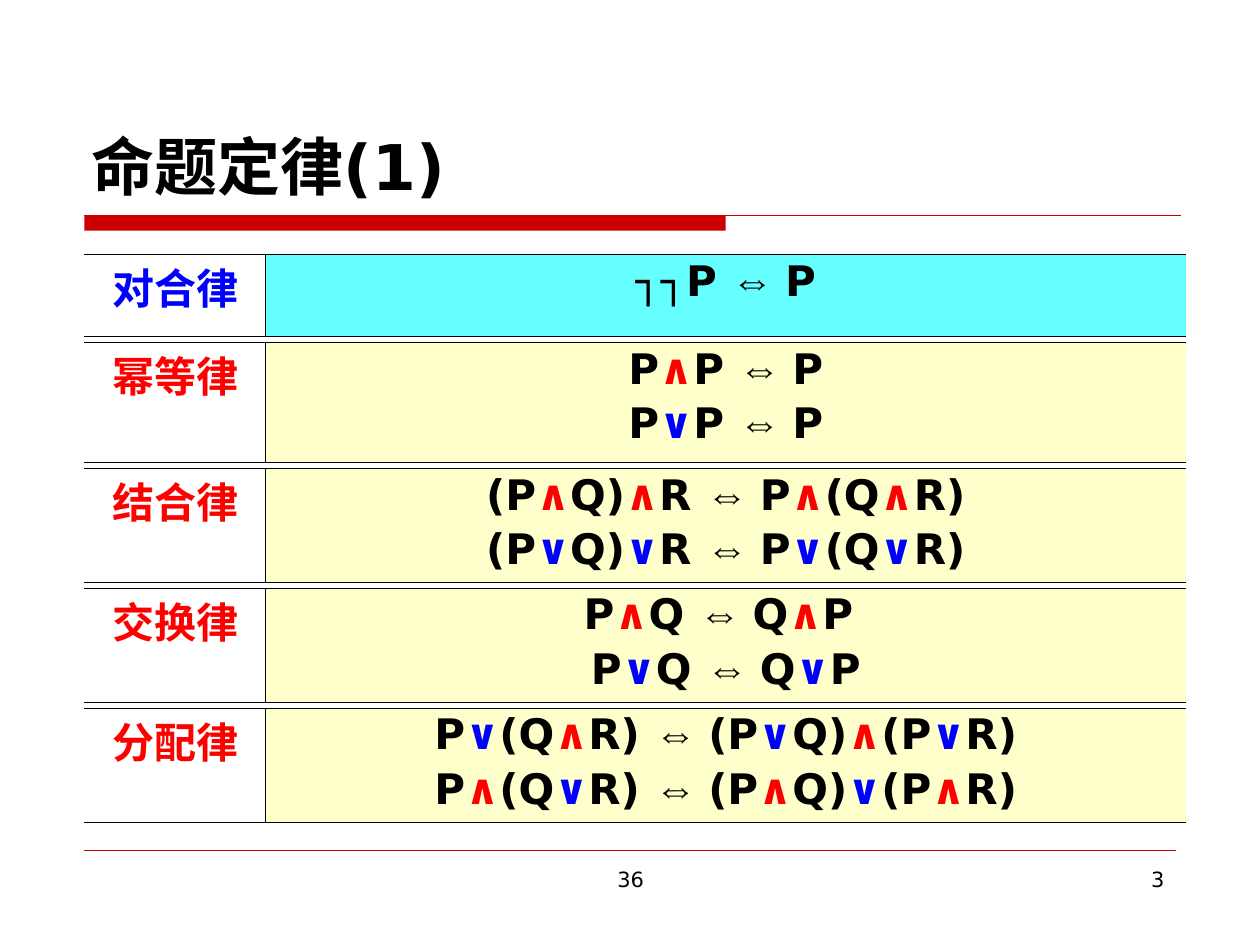
from itertools import groupby

from lxml import etree
from pptx import Presentation
from pptx.dml.color import RGBColor
from pptx.enum.shapes import MSO_CONNECTOR, MSO_SHAPE
from pptx.enum.text import MSO_ANCHOR, PP_ALIGN
from pptx.oxml.ns import qn
from pptx.util import Inches, Pt

FONT, ARROW_FONT = "DejaVu Sans", "Arial"
BLACK, RED, BLUE, ACCENT = "000000", "FF0000", "0000FF", "CC0000"
YELLOW, CYAN = "FFFFCC", "66FFFF"
OPERATOR_COLORS = {"∧": RED, "∨": BLUE}
ARROW = "⇔ "
LEFT, COLUMN_WIDTHS = 0.67, (1.44, 7.3)
FIRST_TOP, GAP = 2.02, 0.05

# Name, name colour, fill, height, formulas
LAWS = [
    ("对合律", BLUE, CYAN, 0.65, ["┐┐P ⇔ P"]),
    ("幂等律", RED, YELLOW, 0.95, ["P∧P ⇔ P", "P∨P ⇔ P"]),
    ("结合律", RED, YELLOW, 0.9,
     ["(P∧Q)∧R ⇔ P∧(Q∧R)", "(P∨Q)∨R ⇔ P∨(Q∨R)"]),
    ("交换律", RED, YELLOW, 0.9, ["P∧Q ⇔ Q∧P ", "P∨Q ⇔ Q∨P"]),
    ("分配律", RED, YELLOW, 0.9,
     ["P∨(Q∧R) ⇔ (P∨Q)∧(P∨R)", "P∧(Q∨R) ⇔ (P∧Q)∨(P∧R)"]),
]


def rgb(color):
    return RGBColor.from_string(color)


def add_span(para, text, size=24, color=BLACK, bold=True, font=FONT):
    span = para.add_run()
    span.text = text
    span.font.name = font
    span.font.size = Pt(size)
    span.font.bold = bold
    span.font.color.rgb = rgb(color)


def add_formula(para, formula):
    """Write a formula with coloured operators and its own arrow font."""
    left, arrow, right = formula.partition(ARROW)
    for part in (left, arrow, right):
        font = ARROW_FONT if part == ARROW else FONT
        for color, letters in groupby(
                part, lambda letter: OPERATOR_COLORS.get(letter, BLACK)):
            add_span(para, "".join(letters), color=color, font=font)


def add_rule(slide, y, right, width):
    rule = slide.shapes.add_connector(
        MSO_CONNECTOR.STRAIGHT, Inches(LEFT), Inches(y), Inches(right), Inches(y))
    rule.line.color.rgb = rgb(ACCENT)
    rule.line.width = Pt(width)
    etree.SubElement(rule._element.spPr, qn("a:effectLst"))


def add_bar(slide, left, top, width, height):
    bar = slide.shapes.add_shape(
        MSO_SHAPE.RECTANGLE, Inches(left), Inches(top), Inches(width), Inches(height))
    bar.shadow.inherit = False
    bar.fill.solid()
    bar.fill.fore_color.rgb = rgb(ACCENT)
    bar.line.fill.background()


def add_number(slide, text, left, width, align):
    box = slide.shapes.add_textbox(
        Inches(left), Inches(6.83), Inches(width), Inches(0.52))
    box.text_frame.word_wrap = True
    para = box.text_frame.paragraphs[0]
    para.alignment = align
    add_span(para, text, size=12, bold=False)


def set_borders(cell, visible):
    """Draw thin black lines on the named sides and none on the others."""
    properties = cell._tc.get_or_add_tcPr()
    for index, side in enumerate("LRTB"):
        line = etree.Element(qn(f"a:ln{side}"), w=str(Pt(0.45)))
        if side in visible:
            fill = etree.SubElement(line, qn("a:solidFill"))
            etree.SubElement(fill, qn("a:srgbClr"), val=BLACK)
        else:
            etree.SubElement(line, qn("a:noFill"))
        properties.insert(index, line)


def format_para(para, space_before=0):
    para.alignment = PP_ALIGN.CENTER
    para.line_spacing = 0.9
    para.space_before = Pt(space_before)


def add_law(slide, top, name, name_color, fill, height, formulas):
    table = slide.shapes.add_table(
        1, 2, Inches(LEFT), Inches(top), Inches(sum(COLUMN_WIDTHS)),
        Inches(height)).table
    table.first_row = table.horz_banding = False
    for column, width in zip(table.columns, COLUMN_WIDTHS):
        column.width = Inches(width)
    name_cell, formula_cell = table.rows[0].cells

    name_cell.fill.background()
    set_borders(name_cell, "RTB")
    para = name_cell.text_frame.paragraphs[0]
    format_para(para)
    add_span(para, name, color=name_color)

    formula_cell.fill.solid()
    formula_cell.fill.fore_color.rgb = rgb(fill)
    set_borders(formula_cell, "LTB")
    frame = formula_cell.text_frame
    for index, formula in enumerate(formulas):
        para = frame.add_paragraph() if index else frame.paragraphs[0]
        format_para(para, space_before=6 if index else 0)
        add_formula(para, formula)


def set_title(slide, text):
    title = slide.shapes.title
    title.left, title.top = Inches(0.63), Inches(0.33)
    title.width, title.height = Inches(8.75), Inches(1.33)
    title.text_frame.vertical_anchor = MSO_ANCHOR.BOTTOM
    para = title.text_frame.paragraphs[0]
    para.alignment = PP_ALIGN.LEFT
    add_span(para, text, size=36)


def main():
    deck = Presentation()
    deck.slide_width, deck.slide_height = Inches(10), Inches(7.5)
    page = deck.slides.add_slide(deck.slide_layouts[5])

    # Title and red rules
    set_title(page, "命题定律(1)")
    add_bar(page, LEFT, 1.71, 5.09, 0.12)
    add_rule(page, 1.71, 9.37, 0.75)
    add_rule(page, 6.75, 9.33, 0.25)

    # Footer numbers
    add_number(page, "36", 3.42, 3.17, PP_ALIGN.CENTER)
    add_number(page, "3", 7.17, 2.17, PP_ALIGN.RIGHT)

    # One table per law, stacked with equal gaps
    top = FIRST_TOP
    for name, name_color, fill, height, formulas in LAWS:
        add_law(page, top, name, name_color, fill, height, formulas)
        top += height + GAP

    deck.save("out.pptx")


if __name__ == "__main__":
    main()
